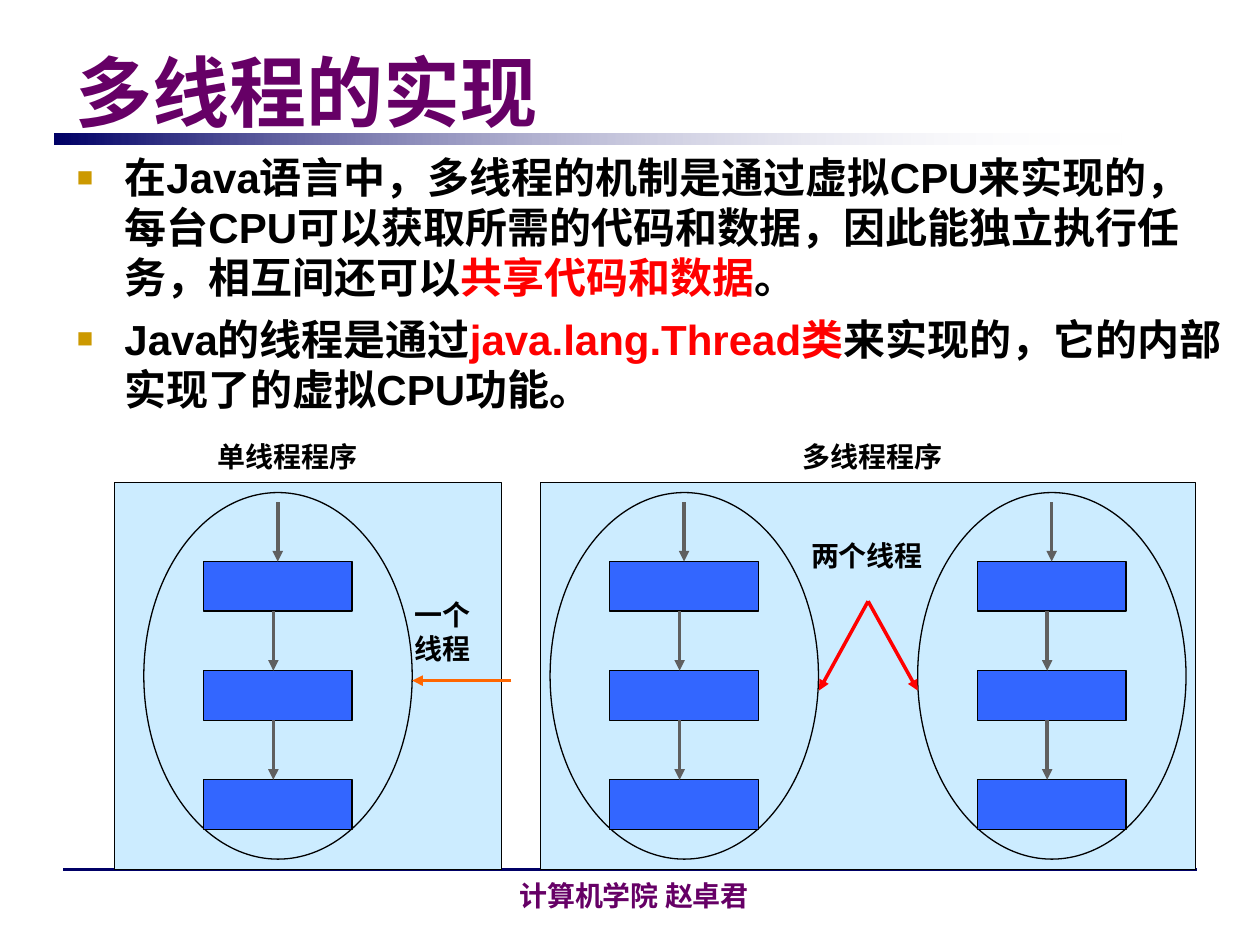
import pptx
import pptx.util
import pptx.dml.color
import pptx.enum.shapes
import pptx.enum.text
import pptx.oxml.ns
import lxml.etree

Cm = pptx.util.Cm
Pt = pptx.util.Pt
SHAPE = pptx.enum.shapes.MSO_SHAPE
ALIGN = pptx.enum.text.PP_ALIGN
ANCHOR = pptx.enum.text.MSO_ANCHOR
qn = pptx.oxml.ns.qn
rgb = pptx.dml.color.RGBColor.from_string

deck = pptx.Presentation()
deck.slide_width, deck.slide_height = Cm(25.4), Cm(19.05)
slide = deck.slides.add_slide(deck.slide_layouts[6])


def add_text(place, paragraphs, size, font, color="000000", spacing=None,
             align=ALIGN.LEFT, anchor=ANCHOR.TOP):
    """Add a bold text box; each paragraph is a list of (text, color or None)."""
    box = slide.shapes.add_textbox(*[Cm(length) for length in place])
    frame = box.text_frame
    frame.word_wrap = True
    frame.vertical_anchor = anchor
    for index, pieces in enumerate(paragraphs):
        para = frame.add_paragraph() if index else frame.paragraphs[0]
        para.alignment = align
        if spacing:
            para.line_spacing = Pt(spacing)
        for text, own_color in pieces:
            span = para.add_run()
            span.text = text
            span.font.size, span.font.bold, span.font.name = Pt(size), True, font
            span.font.color.rgb = rgb(own_color or color)
            east_asian = lxml.etree.SubElement(span.font._element, qn("a:ea"))
            east_asian.set("typeface", "Noto Sans CJK SC")
    return box


def add_line(start, end, color, width, arrow=True):
    line = slide.shapes.add_connector(
        pptx.enum.shapes.MSO_CONNECTOR.STRAIGHT,
        Cm(start[0]), Cm(start[1]), Cm(end[0]), Cm(end[1]))
    line.line.color.rgb = rgb(color)
    line.line.width = Pt(width)
    if arrow:
        head = lxml.etree.SubElement(line.line._get_or_add_ln(), qn("a:tailEnd"))
        head.set("type", "triangle")
    lxml.etree.SubElement(line._element.spPr, qn("a:effectLst"))
    return line


# Rule above the footer and fading bar under the title
add_line((1.27, 17.53), (24.13, 17.53), "000066", 1.5, arrow=False)
bar = slide.shapes.add_shape(SHAPE.RECTANGLE, Cm(1.09), Cm(2.7), Cm(21.62), Cm(0.22))
bar.shadow.inherit = False
bar.line.fill.background()
bar.fill.gradient()
bar.fill.gradient_angle = 0
for stop, color in zip(bar.fill.gradient_stops, ("000066", "FFFFFF")):
    stop.color.rgb = rgb(color)
clear_end = bar._element.spPr.findall(".//" + qn("a:srgbClr"))[-1]
lxml.etree.SubElement(clear_end, qn("a:alpha")).set("val", "0")

# Footer, title and body
add_text((6.69, 17.25, 12.19, 1.27), [[("计算机学院 赵卓君", None)]], 16,
         "Noto Sans CJK SC", "660066", 19.4, ALIGN.CENTER, ANCHOR.BOTTOM)
add_text((1.27, 0.84, 22.86, 1.96), [[("多线程的实现", None)]], 44,
         "Times New Roman", "660066", anchor=ANCHOR.MIDDLE)
body = add_text((1.3, 2.94, 23.6, 5.79), [
    [("在Java语言中，多线程的机制是通过虚拟CPU来实现的，每台CPU可以获取所需的代码和数据，"
      "因此能独立执行任务，相互间还可以", None),
     ("共享代码和数据", "FF0000"), ("。", None)],
    [("Java的线程是通过", None), ("java.lang.Thread类", "FF0000"),
     ("来实现的，它的内部实现了的虚拟CPU功能。", None)],
], 24, "Arial", spacing=28.6)
for index, para in enumerate(body.text_frame.paragraphs):
    para.space_before = Pt(6.5 if index else 0)
    properties = para._p.get_or_add_pPr()
    properties.set("marL", str(Cm(0.96)))
    properties.set("indent", str(-Cm(0.96)))
    properties.set("hangingPunct", "0")
    bullet_color = lxml.etree.SubElement(properties, qn("a:buClr"))
    lxml.etree.SubElement(bullet_color, qn("a:srgbClr")).set("val", "CC9900")
    lxml.etree.SubElement(properties, qn("a:buSzPct")).set("val", "65000")
    lxml.etree.SubElement(properties, qn("a:buFont")).set("typeface", "Arial")
    lxml.etree.SubElement(properties, qn("a:buChar")).set("char", "■")

# Program panels: one thread on the left, two on the right
panels = [(SHAPE.RECTANGLE, left, 9.73, width, 7.8, "CCECFF")
          for left, width in ((2.31, 7.8), (10.9, 13.2))]

# Each thread is an ellipse around three steps
thread_lefts = (2.9, 11.09, 18.5)
step_width, step_height, step_pitch, first_step = 3, 1, 2.2, 11.32
arrow_length = step_pitch - step_height
threads = []
for left in thread_lefts:
    threads.append((SHAPE.OVAL, left, 9.93, 5.41, 7.39, None))
    for index in range(3):
        threads.append((SHAPE.RECTANGLE, left + 1.2, first_step + index * step_pitch,
                        step_width, step_height, "3366FF"))

for kind, left, top, width, height, color in panels + threads:
    shape = slide.shapes.add_shape(kind, Cm(left), Cm(top), Cm(width), Cm(height))
    shape.shadow.inherit = False
    shape.line.color.rgb = rgb("000000")
    shape.line.width = Pt(0.75)
    if color is None:
        shape.fill.background()
        continue
    shape.fill.solid()
    shape.fill.fore_color.rgb = rgb(color)
    if color == "3366FF":
        is_first = top == first_step
        arrow_x = left + (step_width / 2 if is_first else 1.41)
        arrow = add_line((arrow_x, top - arrow_length), (arrow_x, top), "5F5F5F", 2)
        if is_first:
            arrow.end_connect(shape, 0)

# Pointers from the labels to the threads
add_line((10.31, 13.72), (8.31, 13.72), "FF6600", 2)
for end_x in (16.51, 18.5):
    add_line((17.5, 12.12), (end_x, 13.92), "FF0000", 2)

# Labels
for text, left, top, width, height, align in (
        ("单线程程序", 3.7, 8.72, 4.19, 0.94, ALIGN.CENTER),
        ("多线程程序", 15.5, 8.72, 4.19, 0.94, ALIGN.CENTER),
        ("一个线程", 8.1, 11.92, 2.01, 1.63, ALIGN.LEFT),
        ("两个线程", 16.1, 10.73, 3.2, 0.94, ALIGN.LEFT)):
    add_text((left, top, width, height), [[(text, None)]], 16,
             "Times New Roman", spacing=19.4, align=align)

deck.save("out.pptx")
